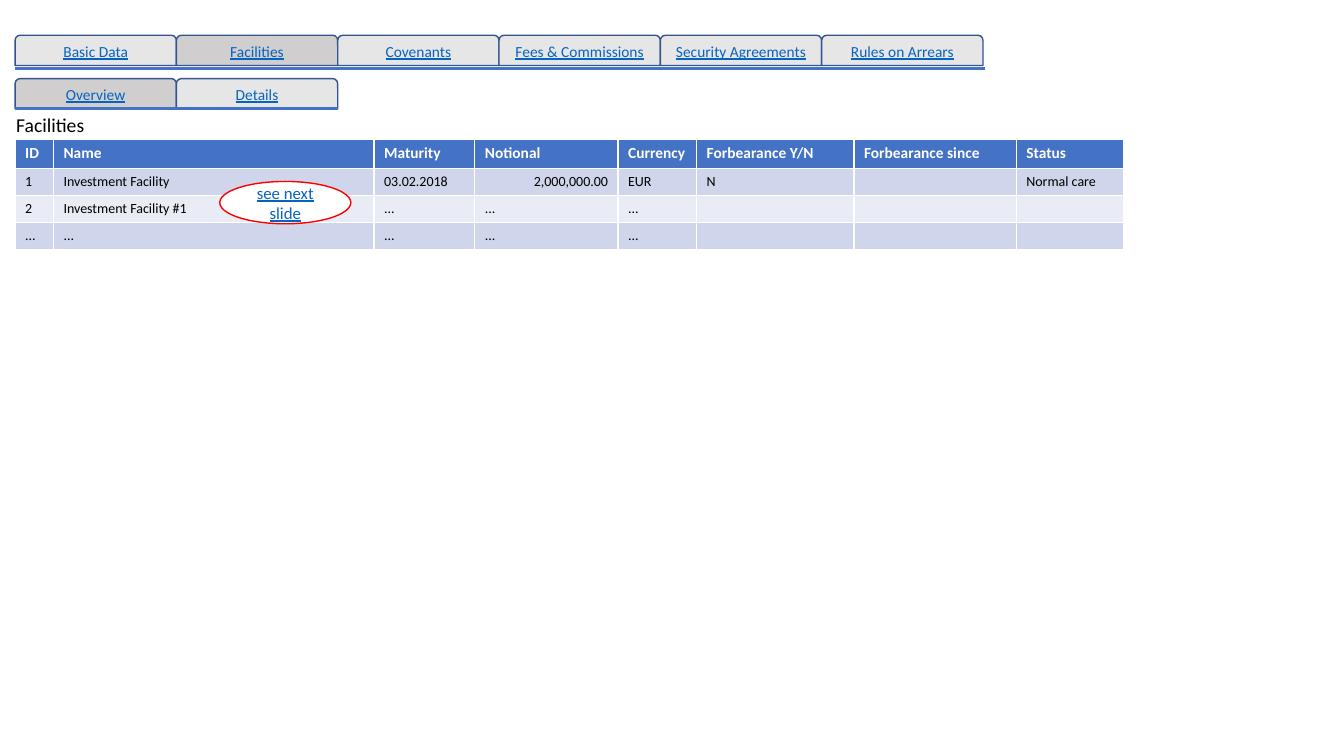
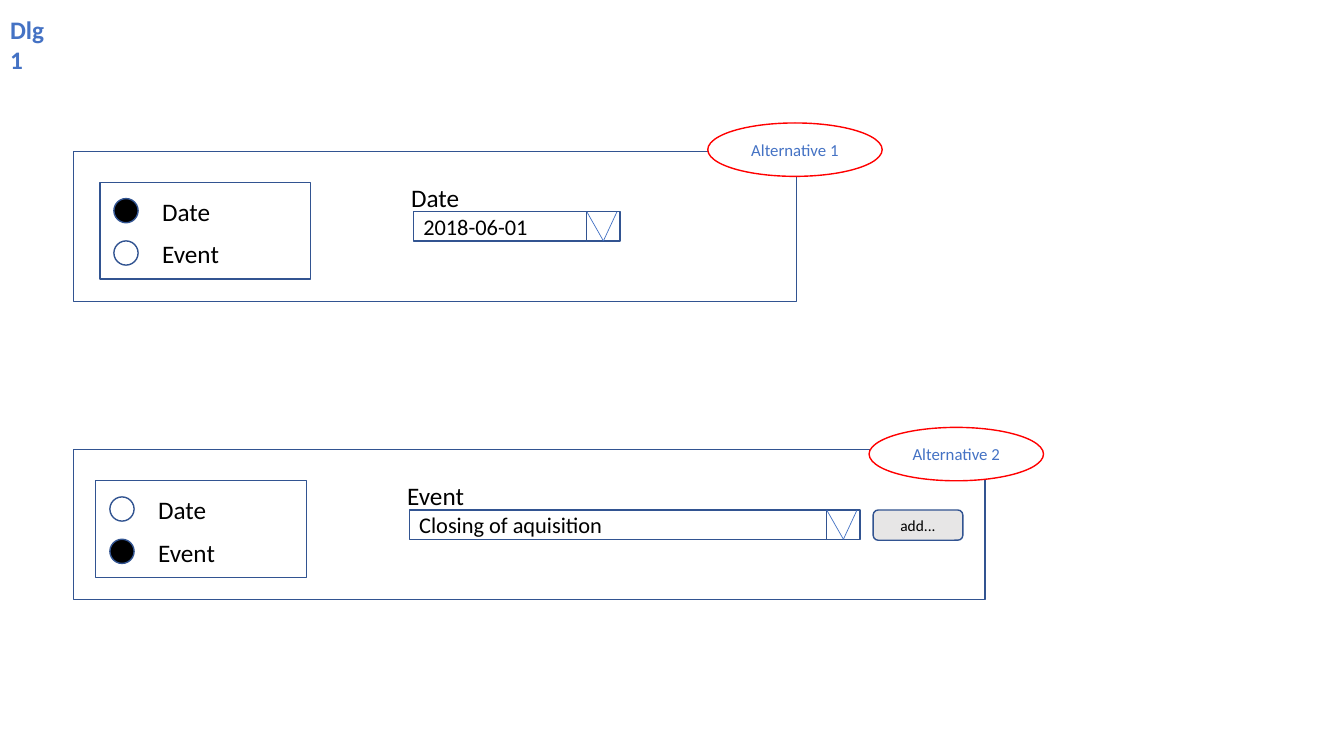
"""Build a two-slide mock-up of a facilities table and its date or event dialog."""
from pptx import Presentation
from pptx.dml.color import RGBColor
from pptx.enum.shapes import MSO_CONNECTOR, MSO_SHAPE
from pptx.enum.text import MSO_ANCHOR, PP_ALIGN
from pptx.oxml.ns import qn
from pptx.util import Inches, Pt
from lxml.etree import SubElement

COLORS = {
    "accent": "4472C4", "outline": "325491", "link": "0563C1", "callout": "FF0000",
    "tab": "E7E6E6", "active": "D0CECE", "odd": "CFD5EA", "even": "E9EBF5",
    "black": "000000", "white": "FFFFFF",
}
FONT = "Calibri"


def write(frame, text, size=11, color="black", bold=False, underline=False,
          align=PP_ALIGN.LEFT, anchor=None, wrap=True):
    para = frame.paragraphs[0]
    para.alignment = align
    if anchor is not None:
        frame.vertical_anchor = anchor
        frame.word_wrap = wrap
    if not text:
        para._p.get_or_add_endParaRPr().set("sz", str(size * 100))
        return
    span = para.add_run()
    span.text = text
    span.font.name = FONT
    span.font.size = Pt(size)
    span.font.bold = bold
    span.font.underline = underline
    span.font.color.rgb = RGBColor.from_string(COLORS[color])


def draw(page, kind, left, top, width, height, fill="white", line="outline"):
    shape = page.shapes.add_shape(kind, Inches(left), Inches(top), Inches(width), Inches(height))
    shape.shadow.inherit = False
    if fill:
        shape.fill.solid()
        shape.fill.fore_color.rgb = RGBColor.from_string(COLORS[fill])
    else:
        shape.fill.background()
    shape.line.color.rgb = RGBColor.from_string(COLORS[line])
    shape.line.width = Pt(1)
    return shape


deck = Presentation()
deck.slide_width = Inches(13.33)
deck.slide_height = Inches(7.5)

pages = []
for text, left, top, width, height, title_format in [
    ("Facilities", 0.06, 1.07, 0.89, 0.34, {"size": 14}),
    ("Dlg 1", 0, 0.09, 0.72, 0.4, {"size": 18, "color": "accent", "bold": True}),
]:
    page = deck.slides.add_slide(deck.slide_layouts[5])
    title = page.shapes.title
    title.left, title.top = Inches(left), Inches(top)
    title.width, title.height = Inches(width), Inches(height)
    write(title.text_frame, text, anchor=MSO_ANCHOR.TOP, wrap=False, **title_format)
    pages.append(page)
table_page, dialog_page = pages

lines = []
tab_left, tab_width = 0.15, 1.6
for top, names, active, line_top, line_right in [
    (0.35, ["Basic Data", "Facilities", "Covenants", "Fees & Commissions",
            "Security Agreements", "Rules on Arrears"], "Facilities", 0.68, 9.77),
    (0.78, ["Overview", "Details"], "Overview", 1.08, 3.35),
]:
    for index, name in enumerate(names):
        tab = draw(table_page, MSO_SHAPE.ROUND_2_SAME_RECTANGLE, tab_left + index * tab_width,
                   top, tab_width, 0.3, fill="active" if name == active else "tab")
        write(tab.text_frame, name, color="link", underline=True,
              align=PP_ALIGN.CENTER, anchor=MSO_ANCHOR.MIDDLE)
    lines.append((table_page, tab_left, line_top, line_right, line_top, 2, None))

widths = [0.38, 3.18, 1, 1.42, 0.78, 1.56, 1.61, 1.07]
rows = [
    ["ID", "Name", "Maturity", "Notional", "Currency", "Forbearance Y/N",
     "Forbearance since", "Status"],
    ["1", "Investment Facility", "03.02.2018", "2,000,000.00", "EUR", "N", "", "Normal care"],
    ["2", "Investment Facility #1", "...", "...", "...", "", "", ""],
    ["...", "...", "...", "...", "...", "", "", ""],
]
row_height = 0.27
table = table_page.shapes.add_table(
    len(rows), len(widths), Inches(0.15), Inches(1.38),
    Inches(sum(widths)), Inches(row_height * len(rows))).table
for column, width in zip(table.columns, widths):
    column.width = Inches(width)
for row_index, row in enumerate(rows):
    header = row_index == 0
    row_fill = "accent" if header else "odd" if row_index % 2 else "even"
    for column_index, text in enumerate(row):
        cell = table.cell(row_index, column_index)
        cell.fill.solid()
        cell.fill.fore_color.rgb = RGBColor.from_string(COLORS[row_fill])
        write(cell.text_frame, text, size=11 if header else 10, bold=header,
              color="white" if header else "black",
              align=PP_ALIGN.RIGHT if text == "2,000,000.00" else PP_ALIGN.LEFT)

hint = draw(table_page, MSO_SHAPE.OVAL, 2.18, 1.8, 1.3, 0.42, line="callout")
write(hint.text_frame, "see next slide", size=12, color="link", underline=True,
      align=PP_ALIGN.CENTER, anchor=MSO_ANCHOR.MIDDLE)

options = ["Date", "Event"]
arrow_width, field_height = 0.33, 0.29
for name, selected, value, top, frame_width, group_left, field_width, callout_left, callout_top in [
    ("Alternative 1", "Date", "2018-06-01", 1.5, 7.17, 0.99, 1.72, 7.02, 1.22),
    ("Alternative 2", "Event", "Closing of aquisition", 4.46, 9.04, 0.95, 4.14, 8.62, 4.24),
]:
    draw(dialog_page, MSO_SHAPE.RECTANGLE, 0.73, top, frame_width, 1.49, fill=None)
    draw(dialog_page, MSO_SHAPE.RECTANGLE, group_left, top + 0.31, 2.09, 0.96)

    labels = [(selected, group_left + 2.99, top + 0.26, 0.77, False)]
    for index, option in enumerate(options):
        option_top = top + 0.4 + index * 0.42
        draw(dialog_page, MSO_SHAPE.OVAL, group_left + 0.14, option_top + 0.07, 0.24, 0.24,
             fill="black" if option == selected else "white")
        labels.append((option, group_left + 0.52, option_top, 1.53, True))
    for text, left, label_top, width, wrap in labels:
        box = dialog_page.shapes.add_textbox(
            Inches(left), Inches(label_top), Inches(width), Inches(0.4))
        write(box.text_frame, text, size=18, anchor=MSO_ANCHOR.TOP, wrap=wrap)

    field_left, field_top = group_left + 3.11, top + 0.6
    field = draw(dialog_page, MSO_SHAPE.RECTANGLE, field_left, field_top,
                 field_width, field_height)
    write(field.text_frame, value, size=16, anchor=MSO_ANCHOR.MIDDLE)
    arrow_left = field_left + field_width
    arrow = draw(dialog_page, MSO_SHAPE.RECTANGLE, arrow_left, field_top,
                 arrow_width, field_height)
    for start in (arrow_left, arrow_left + 0.3):
        lines.append((dialog_page, start, field_top, arrow_left + arrow_width / 2,
                      field_top + field_height, 0.5, arrow))

    callout = draw(dialog_page, MSO_SHAPE.OVAL, callout_left, callout_top, 1.73, 0.53,
                   line="callout")
    write(callout.text_frame, name, size=12, color="accent",
          align=PP_ALIGN.CENTER, anchor=MSO_ANCHOR.MIDDLE)

button = draw(dialog_page, MSO_SHAPE.ROUNDED_RECTANGLE, 8.66, 5.06, 0.89, 0.3, fill="tab")
write(button.text_frame, "add...", align=PP_ALIGN.CENTER, anchor=MSO_ANCHOR.MIDDLE)

for page, left, top, right, bottom, weight, target in lines:
    connector = page.shapes.add_connector(
        MSO_CONNECTOR.STRAIGHT, Inches(left), Inches(top), Inches(right), Inches(bottom))
    connector.line.color.rgb = RGBColor.from_string(COLORS["accent"])
    connector.line.width = Pt(weight)
    SubElement(connector._element.spPr, qn("a:effectLst"))
    if target is not None:
        connector.end_connect(target, 2)

deck.save("out.pptx")
